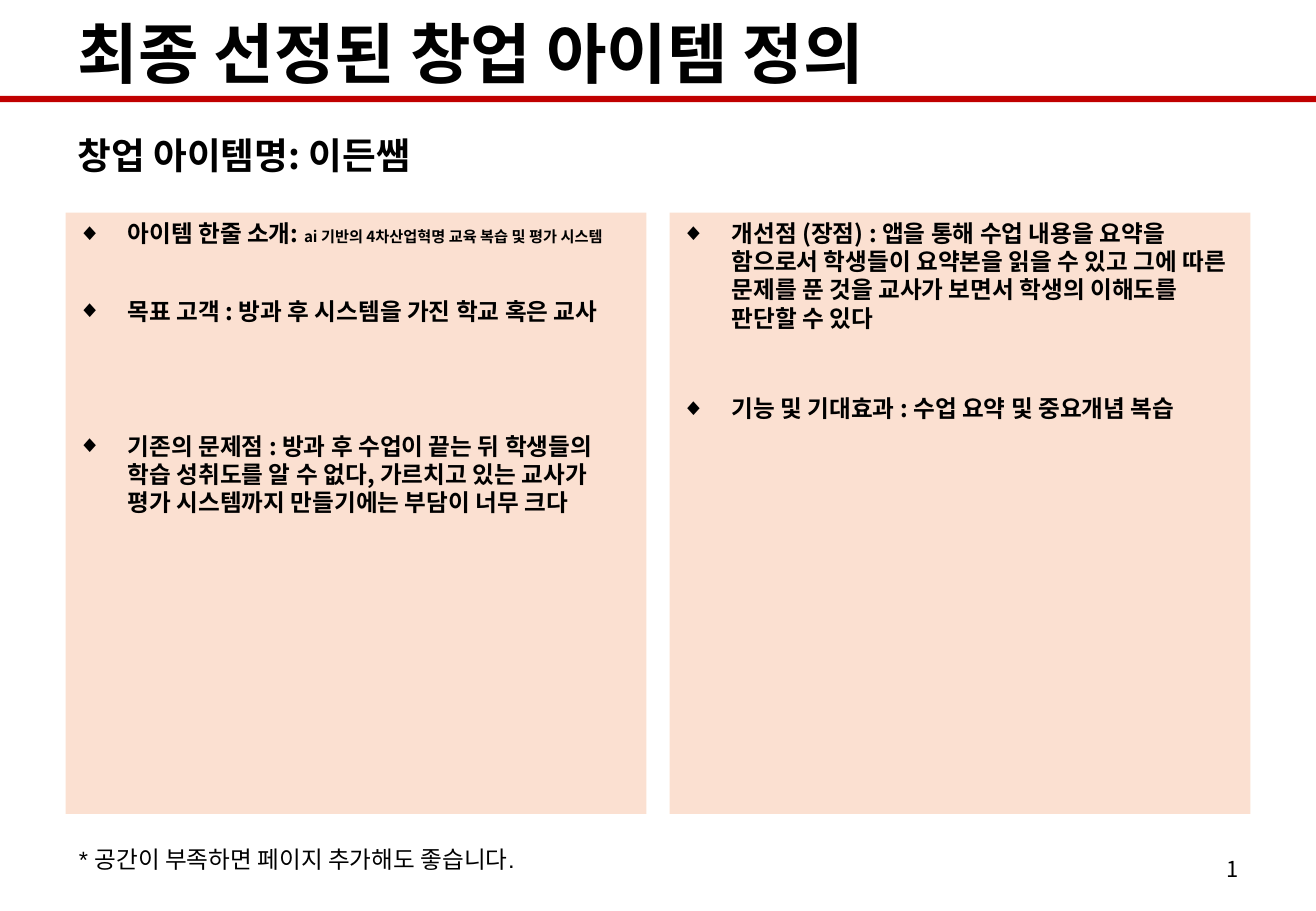
from lxml import etree
from pptx import Presentation
from pptx.dml.color import RGBColor
from pptx.enum.shapes import MSO_SHAPE
from pptx.enum.text import MSO_ANCHOR, MSO_AUTO_SIZE, PP_ALIGN
from pptx.oxml.ns import qn
from pptx.util import Inches, Pt

RECTANGLE = MSO_SHAPE.RECTANGLE
TOP, MIDDLE = MSO_ANCHOR.TOP, MSO_ANCHOR.MIDDLE
LEFT, RIGHT = PP_ALIGN.LEFT, PP_ALIGN.RIGHT
NO_AUTOFIT = MSO_AUTO_SIZE.NONE
KOREAN_FONT = "Noto Sans CJK KR"
BLACK, RED, PEACH = "000000", "C00000", "FBE0D1"
COMPARISON_LAYOUT = 4
MARGIN, CONTENT_WIDTH = 0.54, 9.75
PANEL_TOP, PANEL_WIDTH, PANEL_HEIGHT, PANEL_STEP = 1.75, 4.78, 4.95, 4.97


def color(hex_value):
    return RGBColor.from_string(hex_value)


class ItemSlide:
    def __init__(self, presentation):
        layout = presentation.slide_layouts[COMPARISON_LAYOUT]
        self.slide = presentation.slides.add_slide(layout)
        self.holders = {p.placeholder_format.idx: p for p in self.slide.placeholders}

    def place(self, shape, left, top, width, height):
        shape.left, shape.top = Inches(left), Inches(top)
        shape.width, shape.height = Inches(width), Inches(height)

    def style(self, paragraph, size, bold=False, align=LEFT, latin=KOREAN_FONT):
        paragraph.alignment = align
        paragraph.space_before = Pt(0)
        font = paragraph.font
        font.size, font.bold, font.name = Pt(size), bold, latin
        font.color.rgb = color(BLACK)
        defaults = paragraph._p.get_or_add_pPr().get_or_add_defRPr()
        etree.SubElement(defaults, qn("a:ea"), typeface=KOREAN_FONT)

    def frame(self, shape, anchor, wrap=True):
        text_frame = shape.text_frame
        text_frame.auto_size = NO_AUTOFIT
        text_frame.word_wrap = wrap
        text_frame.vertical_anchor = anchor
        return text_frame

    def bar(self, top, width, height):
        bar = self.slide.shapes.add_shape(
            RECTANGLE, 0, Inches(top), Inches(width), Inches(height))
        bar.shadow.inherit = False
        bar.fill.solid()
        bar.fill.fore_color.rgb = color(RED)
        bar.line.fill.background()

    def heading(self, idx, text, top, height, size):
        holder = self.holders[idx]
        self.place(holder, MARGIN, top, CONTENT_WIDTH, height)
        paragraph = self.frame(holder, MIDDLE).paragraphs[0]
        paragraph.text = text
        self.style(paragraph, size, bold=True)

    def panel(self, idx, left, items):
        """Fill a list placeholder; each item is (gap before, label, small detail)."""
        holder = self.holders[idx]
        self.place(holder, left, PANEL_TOP, PANEL_WIDTH, PANEL_HEIGHT)
        holder.fill.solid()
        holder.fill.fore_color.rgb = color(PEACH)
        text_frame = self.frame(holder, TOP)
        for number, (gap, label, detail) in enumerate(items):
            paragraph = text_frame.add_paragraph() if number else text_frame.paragraphs[0]
            paragraph.add_run().text = label
            if detail:
                small = paragraph.add_run()
                small.text = detail
                small.font.size = Pt(9)
            self.style(paragraph, 14, bold=True)
            paragraph.space_before = Pt(gap)
            paragraph.line_spacing = Pt(16.8)
            self.bullet(paragraph)

    def bullet(self, paragraph):
        properties = paragraph._p.get_or_add_pPr()
        indent = Inches(0.41)
        properties.set("marL", str(indent))
        properties.set("indent", str(-indent))
        mark = etree.Element(qn("a:buChar"), char="◆")
        properties.find(qn("a:defRPr")).addprevious(mark)

    def note(self, text, left, top, width, height, size, wrap=True, **style):
        box = self.slide.shapes.add_textbox(
            Inches(left), Inches(top), Inches(width), Inches(height))
        paragraph = self.frame(box, MIDDLE, wrap).paragraphs[0]
        paragraph.text = text
        self.style(paragraph, size, **style)

    def remove_empty(self):
        for holder in self.holders.values():
            if not holder.text_frame.text:
                holder._element.getparent().remove(holder._element)


def main():
    presentation = Presentation()
    presentation.slide_width, presentation.slide_height = Inches(10.83), Inches(7.5)
    item = ItemSlide(presentation)
    item.bar(0.79, 10.83, 0.05)
    item.heading(0, "최종 선정된 창업 아이템 정의", 0.05, 0.76, 39)
    item.heading(1, "창업 아이템명: 이든쌤", 0.84, 0.87, 21.7)
    overview = [
        (0, "아이템 한줄 소개: ", "ai 기반의 4차산업혁명 교육 복습 및 평가 시스템"),
        (29.4, "목표 고객 : 방과 후 시스템을 가진 학교 혹은 교사", ""),
        (63.2, "기존의 문제점 : 방과 후 수업이 끝는 뒤 학생들의 학습 성취도를 알 수 없다, "
               "가르치고 있는 교사가 평가 시스템까지 만들기에는 부담이 너무 크다", ""),
    ]
    benefits = [
        (0, "개선점 (장점) : 앱을 통해 수업 내용을 요약을 함으로서 학생들이 요약본을 읽을 수 있고 "
            "그에 따른 문제를 푼 것을 교사가 보면서 학생의 이해도를 판단할 수 있다", ""),
        (36.5, "기능 및 기대효과 : 수업 요약 및 중요개념 복습", ""),
    ]
    for column, (idx, items) in enumerate([(2, overview), (4, benefits)]):
        item.panel(idx, MARGIN + column * PANEL_STEP, items)
    item.note("1", 7.76, 6.95, 2.53, 0.4, 13, align=RIGHT)
    item.note("* 공간이 부족하면 페이지 추가해도 좋습니다.", 0.55, 6.9, 4.21, 0.34, 14,
              wrap=False, latin="Arial")
    item.remove_empty()
    presentation.save("out.pptx")


if __name__ == "__main__":
    main()
